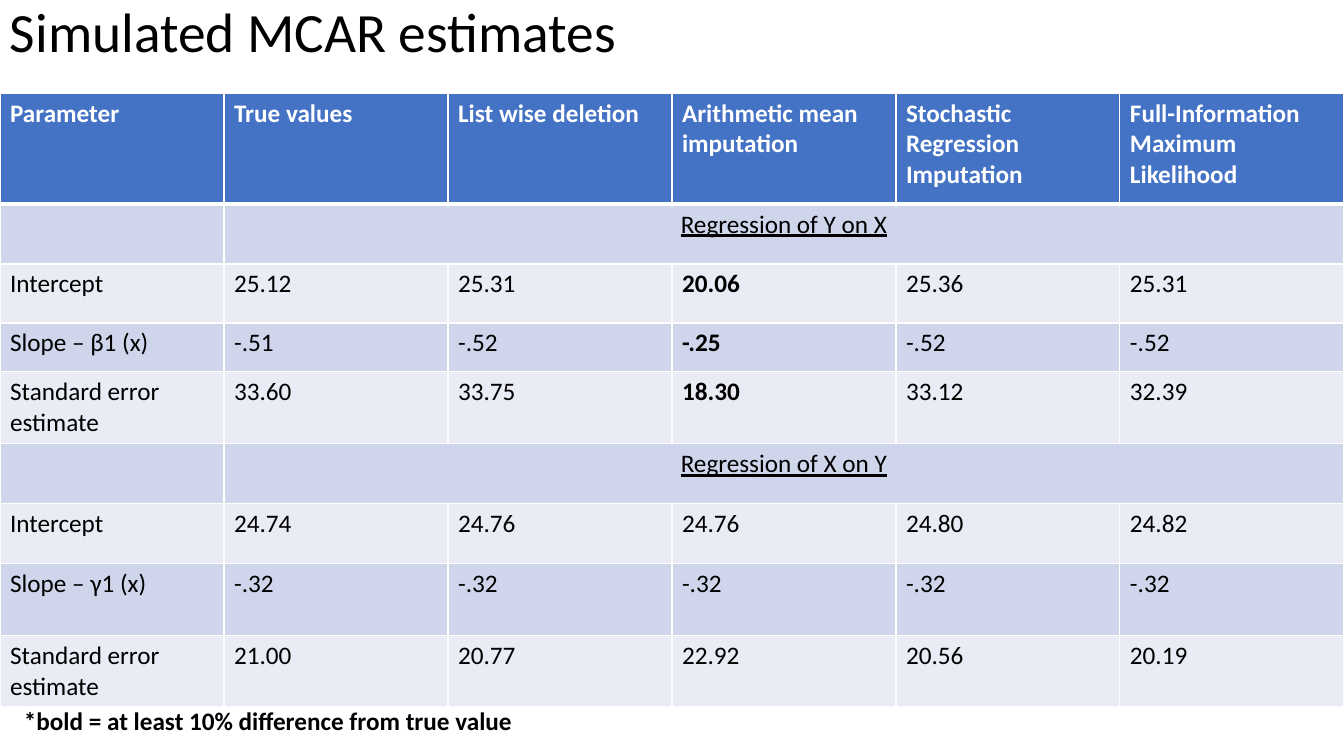
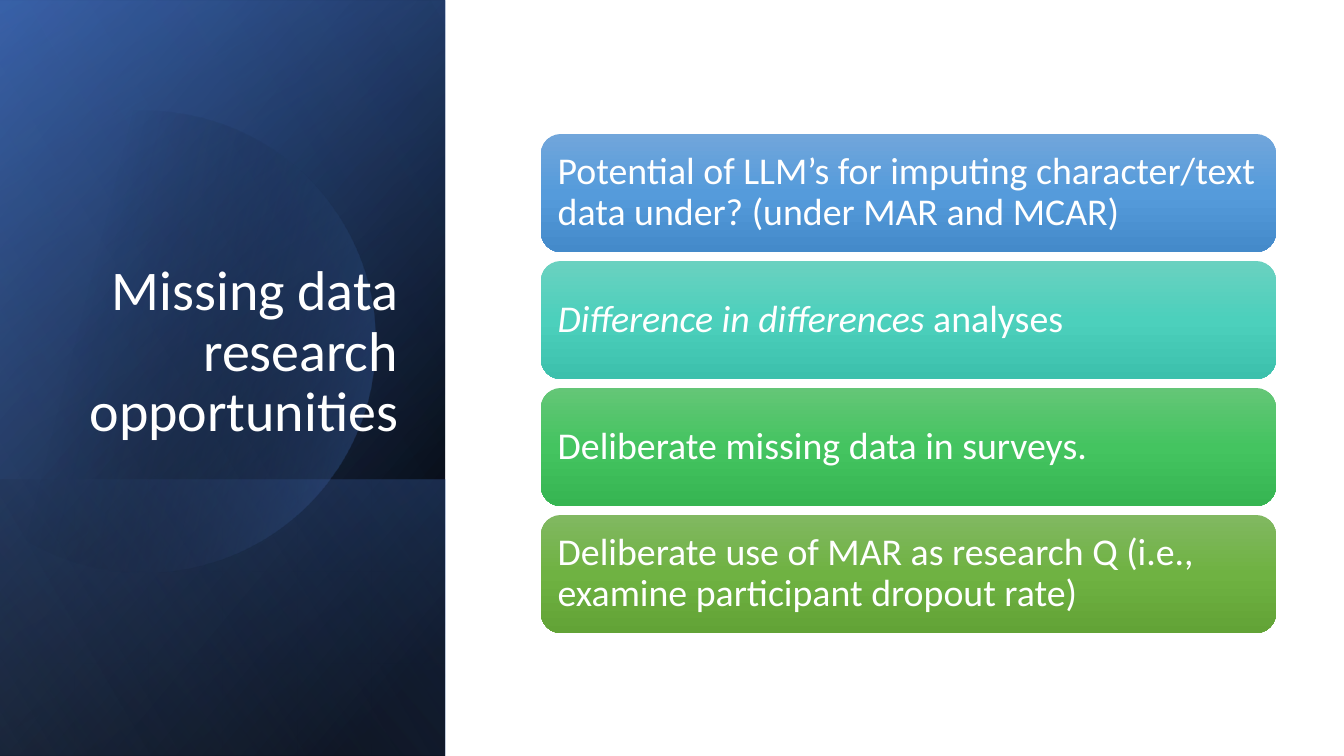
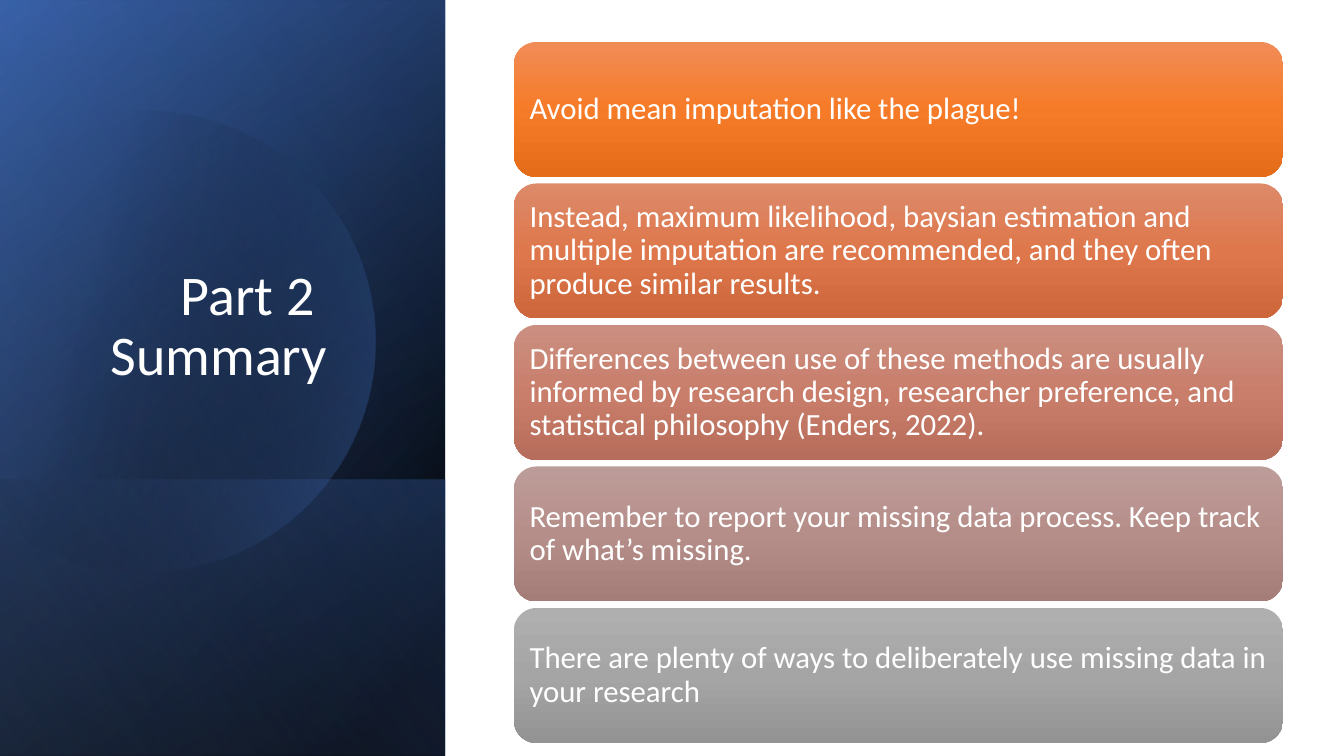
from math import acos, cos, pi, sin

from pptx import Presentation
from pptx.dml.color import RGBColor
from pptx.enum.shapes import MSO_SHAPE as SHAPE
from pptx.enum.text import MSO_ANCHOR as ANCHOR, PP_ALIGN as ALIGN
from pptx.oxml import parse_xml
from pptx.oxml.ns import nsdecls, qn
from pptx.util import Emu, Pt

# Shared style
EMU_PER_PX = 12192000 / 1344
SLIDE_W, SLIDE_H = 1344, 756
FONT = "Calibri"
BLACK = RGBColor(0x00, 0x00, 0x00)
WHITE = RGBColor(0xFF, 0xFF, 0xFF)
BLUE = RGBColor(0x44, 0x72, 0xC4)
DARK_BLUE = RGBColor(0x2F, 0x55, 0x97)
PALE_BLUE = RGBColor(0x8F, 0xAA, 0xDC)
BAND_DARK = RGBColor(0xCF, 0xD5, 0xEA)
BAND_LIGHT = RGBColor(0xE9, 0xEB, 0xF5)

# Slide 1: table
TABLE_TITLE = "Simulated MCAR estimates"
TABLE_NOTE = "*bold = at least 10% difference from true value"
HEADERS = ["Parameter", "True values", "List wise deletion", "Arithmetic mean imputation",
           "Stochastic Regression Imputation", "Full-Information Maximum Likelihood"]
ROWS = [
    ["", "Regression of Y on X"],
    ["Intercept", "25.12", "25.31", "20.06", "25.36", "25.31"],
    ["Slope – β1 (x)", "-.51", "-.52", "-.25", "-.52", "-.52"],
    ["Standard error estimate", "33.60", "33.75", "18.30", "33.12", "32.39"],
    ["", "Regression of X on Y"],
    ["Intercept", "24.74", "24.76", "24.76", "24.80", "24.82"],
    ["Slope – γ1 (x)", "-.32", "-.32", "-.32", "-.32", "-.32"],
    ["Standard error estimate", "21.00", "20.77", "22.92", "20.56", "20.19"],
]
ROW_HEIGHTS = [111, 60, 59, 49, 72, 60, 60, 72, 71]
BOLD_CELLS = {(2, 3), (3, 3), (4, 3)}

# Side panel: box as drawn, gradient stops (position, colour, opacity), angle
PANEL_W = 445
PANEL_LAYERS = [
    ((0, 0, PANEL_W, SLIDE_H), [(8, BLACK, 100), (100, DARK_BLUE, 100)], 50),
    ((0, 1, PANEL_W, SLIDE_H), [(0, BLACK, 0), (99, BLUE, 46)], 30),
    ((0, 480, PANEL_W, 276), [(2, BLUE, 29), (100, BLACK, 30)], 130),
    "disc",
    ((0, 0, PANEL_W, SLIDE_H), [(0, BLACK, 0), (99, PALE_BLUE, 11)], 120),
]
DISC_X, DISC_Y, DISC_R, DISC_CUT_X = 144, 342, 231, -15
DISC_STOPS, DISC_ANGLE = [(29, BLACK, 0), (100, BLUE, 43)], 14

# Slides 2 and 3: title lines, then cards of (gradient colours, runs of (text, italic))
CARD_SLIDES = [
    dict(title=["Missing data research opportunities"], title_box=(65, 185, 343, 264),
         area=(541, 134, 735, 499), card_h=118, inset=11, size=27, cards=[
             ("71A6DB 559BDB 448ACA",
              [("Potential of LLM’s for imputing character/text data under? "
                "(under MAR and MCAR)", False)]),
             ("6AD1C0 4CD0BC 3CC0AC",
              [("Difference in differences ", True), ("analyses", False)]),
             ("64C677 44C460 36B552", [("Deliberate missing data in surveys.", False)]),
             ("81B861 6FB242 62A336",
              [("Deliberate use of MAR as research Q (i.e., examine participant "
                "dropout rate)", False)]),
         ]),
    dict(title=["Part 2 ", "Summary"], title_box=(65, 185, 272, 208),
         area=(514, 42, 769, 701), card_h=135, inset=9, size=22, cards=[
             ("F18C57 F67B28 E56C19", [("Avoid mean imputation like the plague!", False)]),
             ("DD8A6A DE774B CD673B",
              [("Instead, maximum likelihood, baysian estimation and multiple imputation are "
                "recommended, and they often produce similar results.", False)]),
             ("CB8F81 C97E6B B76D5B",
              [("Differences between use of these methods are usually informed by research "
                "design, researcher preference, and statistical philosophy (Enders, 2022).",
                False)]),
             ("BC9C99 B68E89 A47C78",
              [("Remember to report your missing data process. Keep track of what’s missing.",
                False)]),
             ("AFAFAF A5A5A5 939393",
              [("There are plenty of ways to deliberately use missing data in your research",
                False)]),
         ]),
]


def px(n):
    return Emu(round(n * EMU_PER_PX))


def add_run(p, text, size, color, bold=False, italic=False, underline=False):
    r = p.add_run()
    r.text = text
    f = r.font
    f.name, f.size, f.color.rgb = FONT, Pt(size), color
    f.bold, f.italic, f.underline = bold, italic, underline


def add_text(s, box, lines, size, color, bold=False, align=ALIGN.LEFT,
             anchor=ANCHOR.TOP, spacing=1.0):
    tf = s.shapes.add_textbox(*map(px, box)).text_frame
    tf.word_wrap, tf.vertical_anchor = True, anchor
    p = tf.paragraphs[0]
    p.alignment, p.line_spacing = align, spacing
    for i, line in enumerate(lines):
        if i:
            p.add_line_break()
        add_run(p, line, size, color, bold)


def gradient(sp, stops, angle):
    """Give a shape a linear gradient, no outline and no shadow."""
    sp.shadow.inherit = False
    sp.line.fill.background()
    sp.fill.background()
    marks = "".join(
        f'<a:gs pos="{pos * 1000}"><a:srgbClr val="{color}">'
        f'<a:alpha val="{alpha * 1000}"/></a:srgbClr></a:gs>' for pos, color, alpha in stops)
    grad = parse_xml(f'<a:gradFill {nsdecls("a")} rotWithShape="1"><a:gsLst>{marks}</a:gsLst>'
                     f'<a:lin ang="{angle * 60000}" scaled="0"/></a:gradFill>')
    spPr = sp._element.spPr
    spPr.replace(spPr.find(qn("a:noFill")), grad)


def add_disc(s):
    """Circle cut off straight on its left side."""
    end = acos((DISC_CUT_X - DISC_X) / DISC_R)
    steps = 120
    angles = [-end + 2 * end * i / steps for i in range(steps + 1)]
    points = [(px(DISC_X + DISC_R * cos(a)), px(DISC_Y + DISC_R * sin(a))) for a in angles]
    builder = s.shapes.build_freeform(*points[0])
    builder.add_line_segments(points[1:], close=True)
    gradient(builder.convert_to_shape(), DISC_STOPS, DISC_ANGLE)


def add_panel(s):
    for layer in PANEL_LAYERS:
        if layer == "disc":
            add_disc(s)
            continue
        (x, y, w, h), stops, angle = layer
        # The rectangle is turned a quarter, so its own width is the drawn height
        box = (x + (w - h) / 2, y + (h - w) / 2, h, w)
        sp = s.shapes.add_shape(SHAPE.RECTANGLE, *map(px, box))
        sp.rotation = 90
        sp._element.spPr.find(qn("a:xfrm")).set("flipH", "1")
        gradient(sp, stops, angle)


def add_cards(s, area, card_h, inset, size, cards):
    x, y, w, h = area
    pitch = (h - card_h) / (len(cards) - 1)
    for i, (colors, runs) in enumerate(cards):
        sp = s.shapes.add_shape(SHAPE.ROUNDED_RECTANGLE, *map(px, (x, y + i * pitch, w, card_h)))
        gradient(sp, [(50 * k, c, 100) for k, c in enumerate(colors.split())], 90)
        tf = sp.text_frame
        tf.word_wrap, tf.vertical_anchor = True, ANCHOR.MIDDLE
        tf.margin_left = tf.margin_right = tf.margin_top = tf.margin_bottom = px(inset)
        p = tf.paragraphs[0]
        p.alignment, p.line_spacing = ALIGN.LEFT, 0.9
        for text, italic in runs:
            add_run(p, text, size, WHITE, italic=italic)


def style_cell(cell, fill, bottom):
    tcPr = cell._tc.get_or_add_tcPr()
    for side, width in (("L", 1), ("R", 1), ("T", 1), ("B", bottom)):
        tcPr.append(parse_xml(
            f'<a:ln{side} {nsdecls("a")} w="{Pt(width)}"><a:solidFill>'
            f'<a:srgbClr val="{WHITE}"/></a:solidFill></a:ln{side}>'))
    cell.fill.solid()
    cell.fill.fore_color.rgb = fill


def add_estimates(s):
    n_cols = len(HEADERS)
    table = s.shapes.add_table(len(ROWS) + 1, n_cols, 0, px(93), px(SLIDE_W),
                               px(sum(ROW_HEIGHTS))).table
    for col in table.columns:
        col.width = px(SLIDE_W / n_cols)
    for i, values in enumerate([HEADERS] + ROWS):
        table.rows[i].height = px(ROW_HEIGHTS[i])
        header, section = i == 0, len(values) == 2
        fill = BLUE if header else BAND_DARK if i % 2 else BAND_LIGHT
        for j in range(n_cols):
            style_cell(table.cell(i, j), fill, 3 if header else 1)
        if section:
            table.cell(i, 1).merge(table.cell(i, n_cols - 1))
        for j, value in enumerate(values):
            if not value:
                continue
            p = table.cell(i, j).text_frame.paragraphs[0]
            p.alignment = ALIGN.CENTER if section else ALIGN.LEFT
            add_run(p, value, 18, WHITE if header else BLACK,
                    bold=header or (i, j) in BOLD_CELLS, underline=section)


def main():
    prs = Presentation()
    prs.slide_width, prs.slide_height = px(SLIDE_W), px(SLIDE_H)
    blank = prs.slide_layouts[6]

    # Table slide
    s = prs.slides.add_slide(blank)
    add_text(s, (0, 4, 1159, 61), [TABLE_TITLE], 39.6, BLACK, anchor=ANCHOR.MIDDLE, spacing=0.9)
    add_estimates(s)
    add_text(s, (14, 700, 594, 40), [TABLE_NOTE], 18, BLACK, bold=True)

    # Card slides
    for c in CARD_SLIDES:
        s = prs.slides.add_slide(blank)
        add_panel(s)
        add_text(s, c["title_box"], c["title"], 40, WHITE, align=ALIGN.RIGHT,
                 anchor=ANCHOR.BOTTOM, spacing=0.9)
        add_cards(s, c["area"], c["card_h"], c["inset"], c["size"], c["cards"])

    prs.save("out.pptx")


if __name__ == "__main__":
    main()
